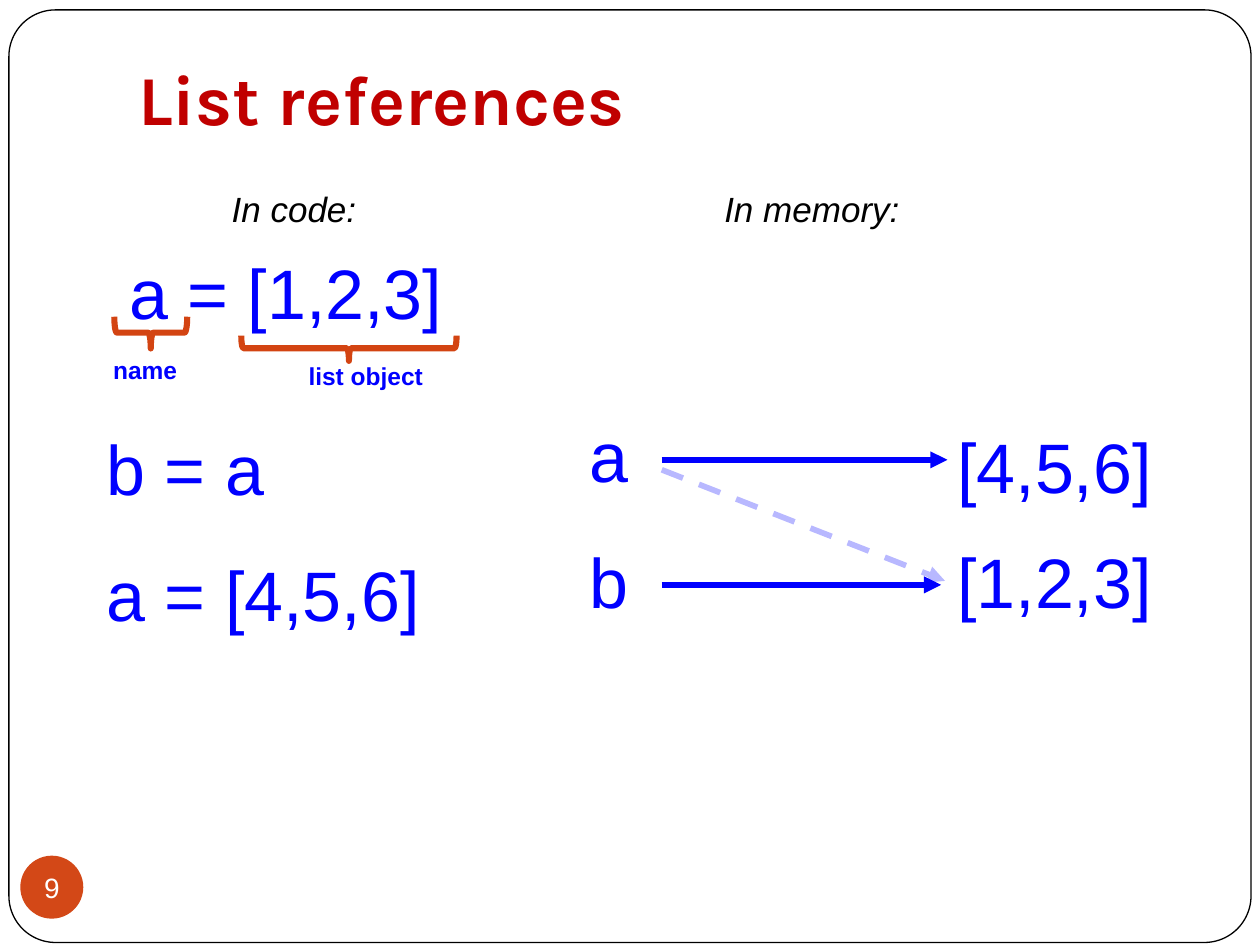
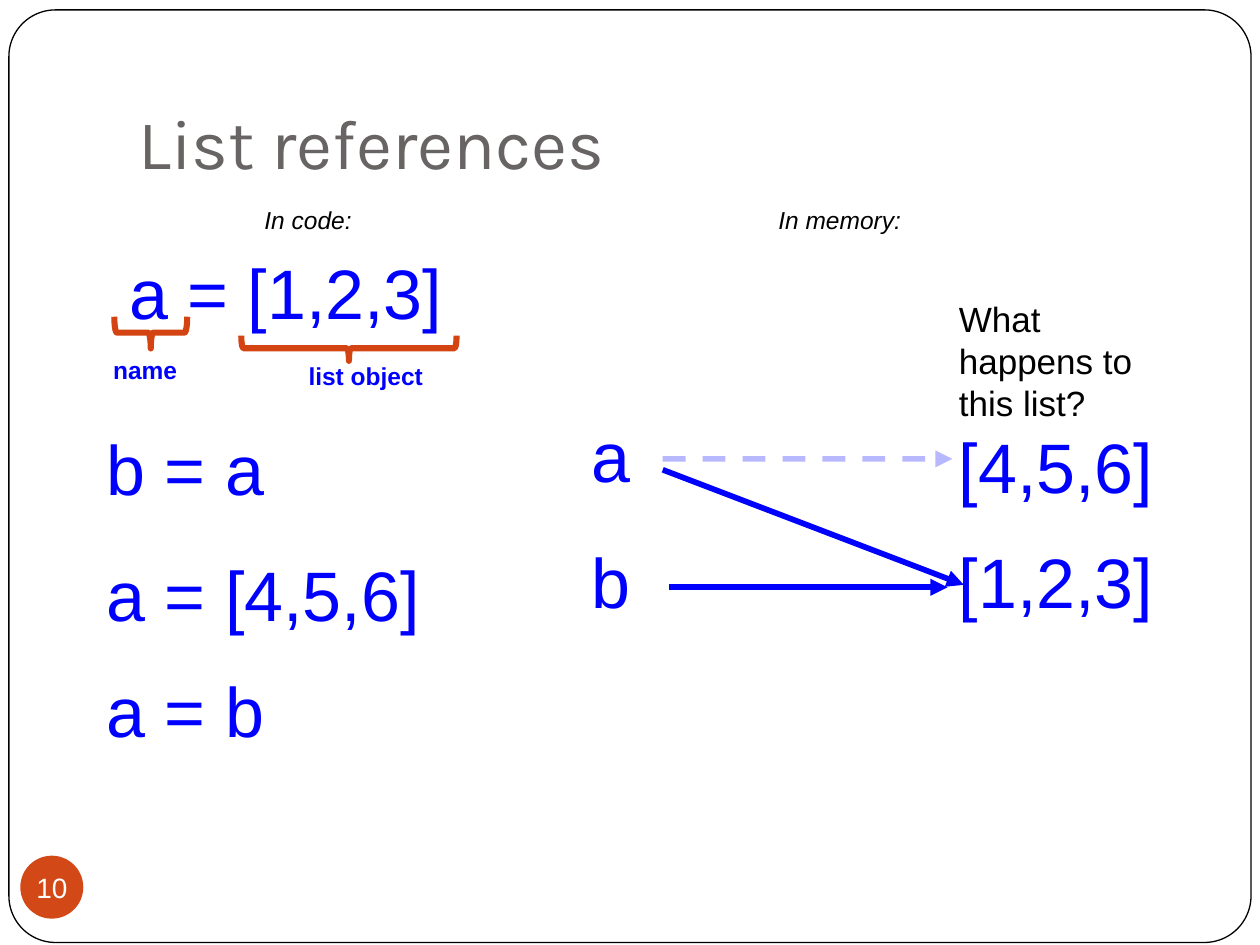
from dataclasses import dataclass

from pptx import Presentation
from pptx.dml.color import RGBColor
from pptx.enum.dml import MSO_LINE
from pptx.enum.shapes import MSO_CONNECTOR, MSO_SHAPE
from pptx.enum.text import MSO_ANCHOR, MSO_AUTO_SIZE, PP_ALIGN
from pptx.oxml.ns import qn
from pptx.oxml.xmlchemy import OxmlElement
from pptx.util import Cm, Pt

ROUNDED = MSO_SHAPE.ROUNDED_RECTANGLE
OVAL = MSO_SHAPE.OVAL
LEFT_BRACE = MSO_SHAPE.LEFT_BRACE
STRAIGHT = MSO_CONNECTOR.STRAIGHT
DASH = MSO_LINE.DASH
BOTTOM = MSO_ANCHOR.BOTTOM
MIDDLE = MSO_ANCHOR.MIDDLE
NO_AUTOFIT = MSO_AUTO_SIZE.NONE
LEFT = PP_ALIGN.LEFT
CENTER = PP_ALIGN.CENTER
TITLE_ONLY = 5


@dataclass(frozen=True)
class Theme:
    code: RGBColor = RGBColor(0x00, 0x00, 0xFF)
    ink: RGBColor = RGBColor(0x00, 0x00, 0x00)
    paper: RGBColor = RGBColor(0xFF, 0xFF, 0xFF)
    badge: RGBColor = RGBColor(0xD3, 0x48, 0x17)
    brace: RGBColor = RGBColor(0xD3, 0x44, 0x12)
    title_red: RGBColor = RGBColor(0xC0, 0x00, 0x00)
    title_grey: RGBColor = RGBColor(0x69, 0x64, 0x64)
    body_font: str = "Arial"
    title_font: str = "Karla"
    large: int = 40
    medium: int = 20
    number: int = 16
    small: int = 14
    frame_width: float = 0.75
    arrow_width: float = 3.25
    brace_width: float = 3.5
    faded_alpha: int = 28000


THEME = Theme()


@dataclass(frozen=True)
class Label:
    text: str
    left: float
    top: float
    width: float
    size: int = THEME.large
    color: RGBColor = THEME.code
    bold: bool = False
    italic: bool = False
    lines: int = 1


@dataclass(frozen=True)
class Brace:
    left: float
    top: float
    width: float
    height: float


@dataclass(frozen=True)
class Reference:
    start: tuple[float, float]
    end: tuple[float, float]
    faded: bool = False


@dataclass(frozen=True)
class Step:
    number: int
    title_height: float
    title_color: RGBColor
    title_bold: bool
    labels: list[Label]
    references: list[Reference]


def heading(text: str, left: float, top: float, width: float, size: int) -> Label:
    return Label(text, left, top, width, size, THEME.ink, italic=True)


def memory(names_left: float, objects_left: float) -> list[Label]:
    return [
        Label("[4,5,6]", objects_left, 8.41, 4.47),
        Label("[1,2,3]", objects_left, 10.74, 4.47),
        Label("a", names_left, 8.2, 1.3),
        Label("b", names_left, 10.74, 1.3),
    ]


CODE = [
    Label("a = [1,2,3]", 2.36, 4.9, 6.88),
    Label("b = a", 1.9, 8.46, 3.73),
    Label("a = [4,5,6]", 1.9, 11, 6.88),
    Label("name", 2.03, 7.04, 1.8, THEME.small, bold=True),
    Label("list object", 5.97, 7.16, 2.82, THEME.small, bold=True),
]
BRACES = [Brace(2.72, 5.97, 0.64, 1.47), Brace(6.78, 4.85, 0.51, 4.34)]

STEPS = [
    Step(
        9, 2.31, THEME.title_red, True,
        [
            heading("In code:", 4.42, 3.66, 3.05, THEME.medium),
            heading("In memory:", 14.35, 3.66, 4.04, THEME.medium),
            *memory(11.63, 19.05),
        ],
        [
            Reference((13.34, 9.27), (19.1, 9.27)),
            Reference((13.34, 11.79), (18.97, 11.79)),
            Reference((13.34, 9.47), (19.05, 11.71), faded=True),
        ],
    ),
    Step(
        10, 3.18, THEME.title_grey, False,
        [
            heading("In code:", 5.08, 4.01, 2.29, THEME.small),
            heading("In memory:", 15.44, 4.01, 3.05, THEME.small),
            *memory(11.68, 19.08),
            Label("a = b", 1.9, 13.34, 3.73),
            Label("What happens to this list?", 19.08, 5.87, 4.01,
                  THEME.medium, THEME.ink, lines=3),
        ],
        [
            Reference((13.36, 9.47), (19.43, 11.79)),
            Reference((13.49, 11.84), (19.1, 11.84)),
            Reference((13.36, 9.25), (19.2, 9.25), faded=True),
        ],
    ),
]


def style(paragraph, font_name: str, size: int, color: RGBColor,
          bold: bool = False, italic: bool = False) -> None:
    for run in paragraph.runs:
        run.font.name = font_name
        run.font.size = Pt(size)
        run.font.color.rgb = color
        run.font.bold = bold
        run.font.italic = italic


def draw_frame(slide, number: int) -> None:
    border = slide.shapes.add_shape(ROUNDED, Cm(0.18), Cm(0.2), Cm(25.04), Cm(18.8))
    border.adjustments[0] = 0.05
    border.shadow.inherit = False
    border.fill.background()
    border.line.color.rgb = THEME.ink
    border.line.width = Pt(THEME.frame_width)

    badge = slide.shapes.add_shape(OVAL, Cm(0.41), Cm(17.25), Cm(1.27), Cm(1.27))
    badge.shadow.inherit = False
    badge.fill.solid()
    badge.fill.fore_color.rgb = THEME.badge
    badge.line.fill.background()
    frame = badge.text_frame
    frame.text = str(number)
    frame.word_wrap = False
    frame.vertical_anchor = MIDDLE
    frame.margin_left = frame.margin_right = Cm(0)
    frame.paragraphs[0].alignment = CENTER
    style(frame.paragraphs[0], THEME.body_font, THEME.number, THEME.paper)


def draw_title(slide, step: Step) -> None:
    title = slide.shapes.title
    title.left, title.top = Cm(2.54), Cm(0.76)
    title.width, title.height = Cm(21.59), Cm(step.title_height)
    frame = title.text_frame
    frame.text = "List references"
    frame.auto_size = NO_AUTOFIT
    frame.vertical_anchor = BOTTOM
    frame.margin_left = frame.margin_right = frame.margin_bottom = Cm(0.25)
    frame.margin_top = Cm(0.13)
    frame.paragraphs[0].alignment = LEFT
    style(frame.paragraphs[0], THEME.title_font, THEME.large,
          step.title_color, step.title_bold)


def draw_label(slide, label: Label) -> None:
    height = Pt(label.size * 1.2 * label.lines) + Cm(0.25)
    box = slide.shapes.add_textbox(
        Cm(label.left), Cm(label.top), Cm(label.width), height)
    frame = box.text_frame
    frame.text = label.text
    frame.word_wrap = label.lines > 1
    style(frame.paragraphs[0], THEME.body_font, label.size, label.color,
          label.bold, label.italic)


def draw_brace(slide, brace: Brace) -> None:
    shape = slide.shapes.add_shape(
        LEFT_BRACE, Cm(brace.left), Cm(brace.top), Cm(brace.width), Cm(brace.height))
    shape.rotation = 270
    shape.shadow.inherit = False
    shape.fill.background()
    shape.line.color.rgb = THEME.brace
    shape.line.width = Pt(THEME.brace_width)


def draw_reference(slide, reference: Reference) -> None:
    ends = [Cm(value) for value in (*reference.start, *reference.end)]
    arrow = slide.shapes.add_connector(STRAIGHT, *ends)
    arrow.line.color.rgb = THEME.code
    arrow.line.width = Pt(THEME.arrow_width)
    properties = arrow._element.spPr
    outline = properties.find(qn("a:ln"))
    if reference.faded:
        arrow.line.dash_style = DASH
        alpha = OxmlElement("a:alpha")
        alpha.set("val", str(THEME.faded_alpha))
        outline.find(".//" + qn("a:srgbClr")).append(alpha)
    head = OxmlElement("a:tailEnd")
    head.set("type", "triangle")
    outline.append(head)
    properties.append(OxmlElement("a:effectLst"))


def build_slide(deck, step: Step) -> None:
    slide = deck.slides.add_slide(deck.slide_layouts[TITLE_ONLY])
    draw_frame(slide, step.number)
    draw_title(slide, step)
    for reference in step.references:
        draw_reference(slide, reference)
    for brace in BRACES:
        draw_brace(slide, brace)
    for label in CODE + step.labels:
        draw_label(slide, label)


def main() -> None:
    deck = Presentation()
    deck.slide_width, deck.slide_height = Cm(25.4), Cm(19.05)
    for step in STEPS:
        build_slide(deck, step)
    deck.save("out.pptx")


if __name__ == "__main__":
    main()
